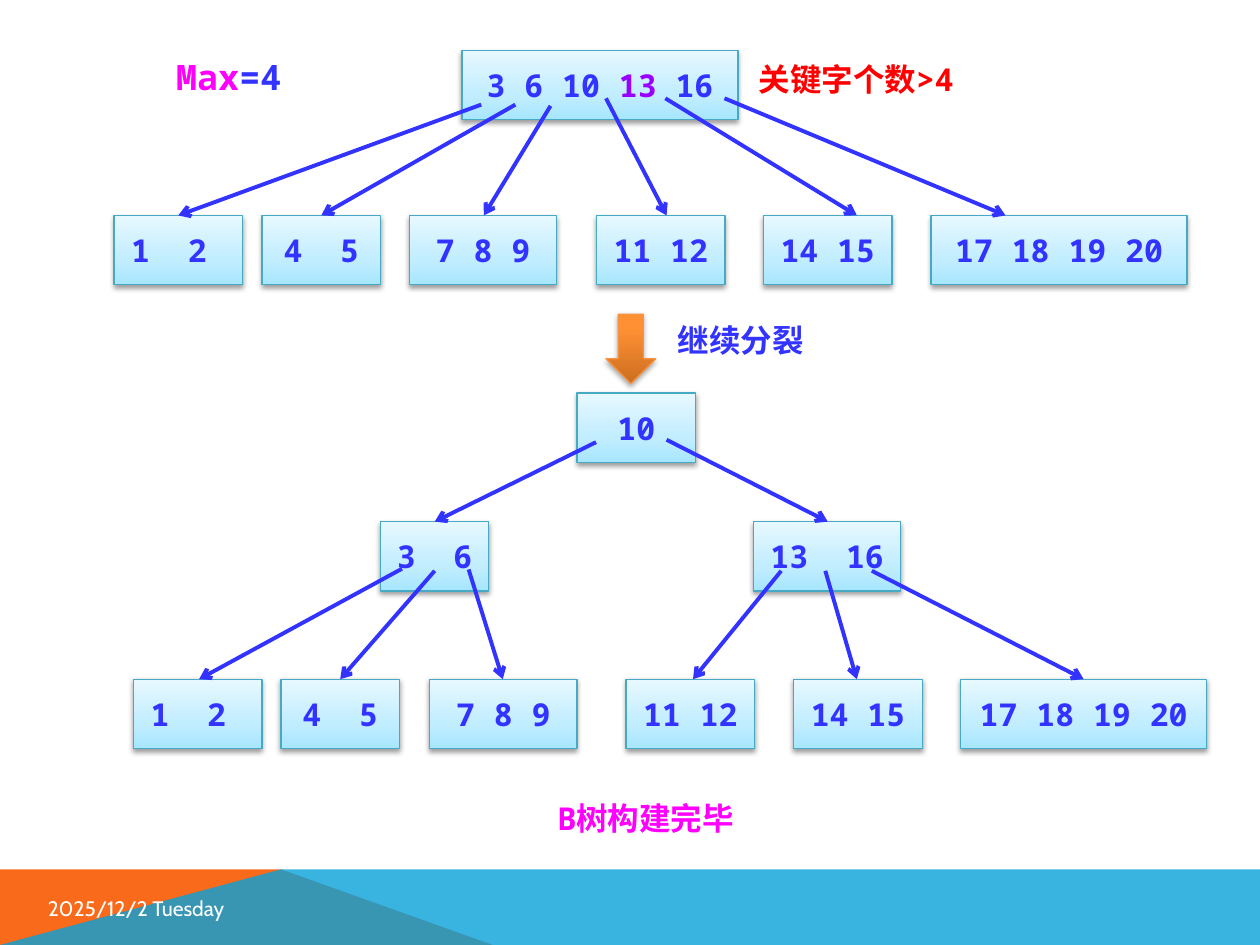
import pptx
import pptx.dml.color
import pptx.enum.shapes
import pptx.enum.text
import pptx.oxml
import pptx.oxml.ns
import pptx.util
from lxml import etree

Pt = pptx.util.Pt
qn = pptx.oxml.ns.qn
RGB = pptx.dml.color.RGBColor.from_string
SHAPE = pptx.enum.shapes.MSO_SHAPE
ALIGN = pptx.enum.text.PP_ALIGN

COLORS = {
    "key": "3333FF", "split": "9900FF", "accent": "FF00FF", "alert": "FF0000",
    "node_line": "46AAC5", "step_line": "F69240", "white": "FFFFFF",
    "orange": "F96A1B", "blue": "08A1D9", "shadow": "000000",
}
NODE_STOPS = [(0, "A7E6FF"), (35, "C1EDFF"), (100, "E7F8FF")]
STEP_STOPS = [(0, "CC6E20"), (80, "FF9034"), (100, "FF9136")]
MONO = "Noto Sans Mono"
NODE_H = 39.6
KEY_SIZE = 18
WIDE_GAP = 1080  # one monospaced character at 18 pt, in hundredths of a point


def write_runs(paragraph, runs, size=KEY_SIZE, font=MONO, bold=True):
    """Add (text, colour) runs in one font."""
    for text, color in runs:
        run = paragraph.add_run()
        run.text = text
        run.font.size, run.font.name, run.font.bold = Pt(size), font, bold
        run.font.color.rgb = RGB(COLORS[color])


def add_glossy(kind, left, top, width, height, stops, line, shadow_alpha):
    """Add a shape with a bottom-to-top gradient and a soft shadow below."""
    shape = slide.shapes.add_shape(kind, Pt(left), Pt(top), Pt(width), Pt(height))
    shape.line.color.rgb = RGB(COLORS[line])
    shape.line.width = Pt(0.75)
    shape.fill.gradient()
    shape.fill.gradient_angle = 90
    properties = shape._element.spPr
    stop_list = properties.find(".//" + qn("a:gsLst"))
    for old_stop in list(stop_list):
        stop_list.remove(old_stop)
    for position, color in stops:
        stop = etree.SubElement(stop_list, qn("a:gs"), pos=str(position * 1000))
        etree.SubElement(stop, qn("a:srgbClr"), val=color)
    shape.shadow.inherit = False
    shadow = etree.SubElement(
        properties.find(qn("a:effectLst")), qn("a:outerShdw"), blurRad=str(Pt(3.1)),
        dist=str(Pt(1.6)), dir="5400000", rotWithShape="0")
    tint = etree.SubElement(shadow, qn("a:srgbClr"), val=COLORS["shadow"])
    etree.SubElement(tint, qn("a:alpha"), val=str(shadow_alpha * 1000))
    return shape


deck = pptx.Presentation()
deck.slide_width, deck.slide_height = Pt(720), Pt(540)
slide = deck.slides.add_slide(deck.slide_layouts[6])

# Footer bands
footer_bands = [
    ("orange", 100, [(0, 540), (0, 496.8), (160.6, 496.8), (281.5, 540)]),
    ("blue", 80, [(0, 540), (160.6, 496.8), (720, 496.8), (720, 540)]),
]
for color, opacity, corners in footer_bands:
    outline = [(Pt(x), Pt(y)) for x, y in corners]
    builder = slide.shapes.build_freeform(*outline[0])
    builder.add_line_segments(outline[1:], close=True)
    band = builder.convert_to_shape()
    band.shadow.inherit = False
    band.line.fill.background()
    band.fill.solid()
    band.fill.fore_color.rgb = RGB(COLORS[color])
    if opacity < 100:
        band_color = band._element.spPr.find(".//" + qn("a:srgbClr"))
        etree.SubElement(band_color, qn("a:alpha"), val=str(opacity * 1000))

# Tree nodes: keys, left, top, width; "_" marks a gap two characters wide
nodes = [
    ("10", 329.8, 224.6, 67.7),
    ("3_6", 217.4, 298.1, 61.9),
    ("13_16", 430.6, 298.1, 84.2),
]
leaf_keys = ["1_2 ", "4_5", "7 8 9", "11 12", "14 15", "17 18 19 20"]
leaf_widths = [73.4, 67.7, 84.2, 73.4, 73.4]
leaf_rows = [
    (123.1, [65.2, 149.8, 234, 340.9, 436.3, 532.1], 146.2),
    (388.1, [76.3, 160.6, 245.5, 357.8, 453.6, 549], 140.4),
]
for top, lefts, last_width in leaf_rows:
    for keys, left, width in zip(leaf_keys, lefts, leaf_widths + [last_width]):
        nodes.append((keys, left, top, width))

for keys, left, top, width in nodes:
    node = add_glossy(SHAPE.RECTANGLE, left, top, width, NODE_H,
                      NODE_STOPS, "node_line", 38)
    line = node.text_frame.paragraphs[0]
    line.alignment = ALIGN.CENTER
    first, gap, second = keys.partition("_")
    write_runs(line, [(first, "key")])
    if gap:
        write_runs(line, [(" ", "key"), (second, "key")])
        line.runs[1].font._element.set("spc", str(WIDE_GAP))

# Overfull root, with the key to split in another colour
root = add_glossy(SHAPE.RECTANGLE, 264, 28.8, 157.7, NODE_H,
                  NODE_STOPS, "node_line", 38)
root.text_frame.margin_left = root.text_frame.margin_right = 0
root_line = root.text_frame.paragraphs[0]
root_line.alignment = ALIGN.CENTER
write_runs(root_line, [("3 6 10 ", "key"), ("13 ", "split"), ("16", "key")])

# Step arrow between the two trees
add_glossy(SHAPE.DOWN_ARROW, 346.3, 179.6, 28.4, NODE_H, STEP_STOPS, "step_line", 35)

# Child pointers: (start x, start y, end x), grouped by the top of the child row
pointers = {
    123.1: [(275, 59.8, 101.9), (294.5, 59.8, 183.6), (314.6, 60.5, 276.5),
            (346.3, 56.2, 380.9), (380.2, 56.2, 489.6), (414, 56.2, 574.6)],
    298.1: [(340.6, 252.7, 248.4), (380.9, 251.3, 473)],
    388.1: [(229.7, 325, 113.8), (248.4, 326.2, 194.4), (267.8, 325.4, 287.3),
            (446.4, 326.2, 396), (471.6, 326.2, 489.6), (498.2, 326.2, 619.2)],
}
for child_top, links in pointers.items():
    for start_x, start_y, end_x in links:
        pointer = slide.shapes.add_connector(
            pptx.enum.shapes.MSO_CONNECTOR.STRAIGHT,
            Pt(start_x), Pt(start_y), Pt(end_x), Pt(child_top))
        pointer.line.color.rgb = RGB(COLORS["key"])
        pointer.line.width = Pt(2.25)
        etree.SubElement(pointer.line._get_or_add_ln(), qn("a:tailEnd"), type="arrow")
        etree.SubElement(pointer._element.spPr, qn("a:effectLst"))

# Captions: left, top, width, height, alignment, size, runs
captions = [
    (93.6, 28.1, 106.6, 31.7, ALIGN.LEFT, 20, [("Max", "accent"), ("=4", "key")]),
    (410.4, 31, 157.7, 28.8, ALIGN.CENTER, 18, [("关键字个数>4", "alert")]),
    (380.2, 180, 106.6, 28.8, ALIGN.LEFT, 18, [("继续分裂", "key")]),
    (244.1, 452.9, 249.8, 28.8, ALIGN.CENTER, 18, [("B树构建完毕", "accent")]),
]
for left, top, width, height, alignment, size, runs in captions:
    caption = slide.shapes.add_textbox(Pt(left), Pt(top), Pt(width), Pt(height))
    caption.text_frame.word_wrap = True
    caption.text_frame.paragraphs[0].alignment = alignment
    write_runs(caption.text_frame.paragraphs[0], runs, size)

# Date
date = slide.shapes.add_textbox(Pt(20.2), Pt(508.3), Pt(121), Pt(20.9))
date.text_frame.word_wrap = True
date.text_frame.vertical_anchor = pptx.enum.text.MSO_ANCHOR.MIDDLE
write_runs(date.text_frame.paragraphs[0], [("2025/12/2 Tuesday", "white")],
           12, "Cabin", False)

deck.save("out.pptx")
